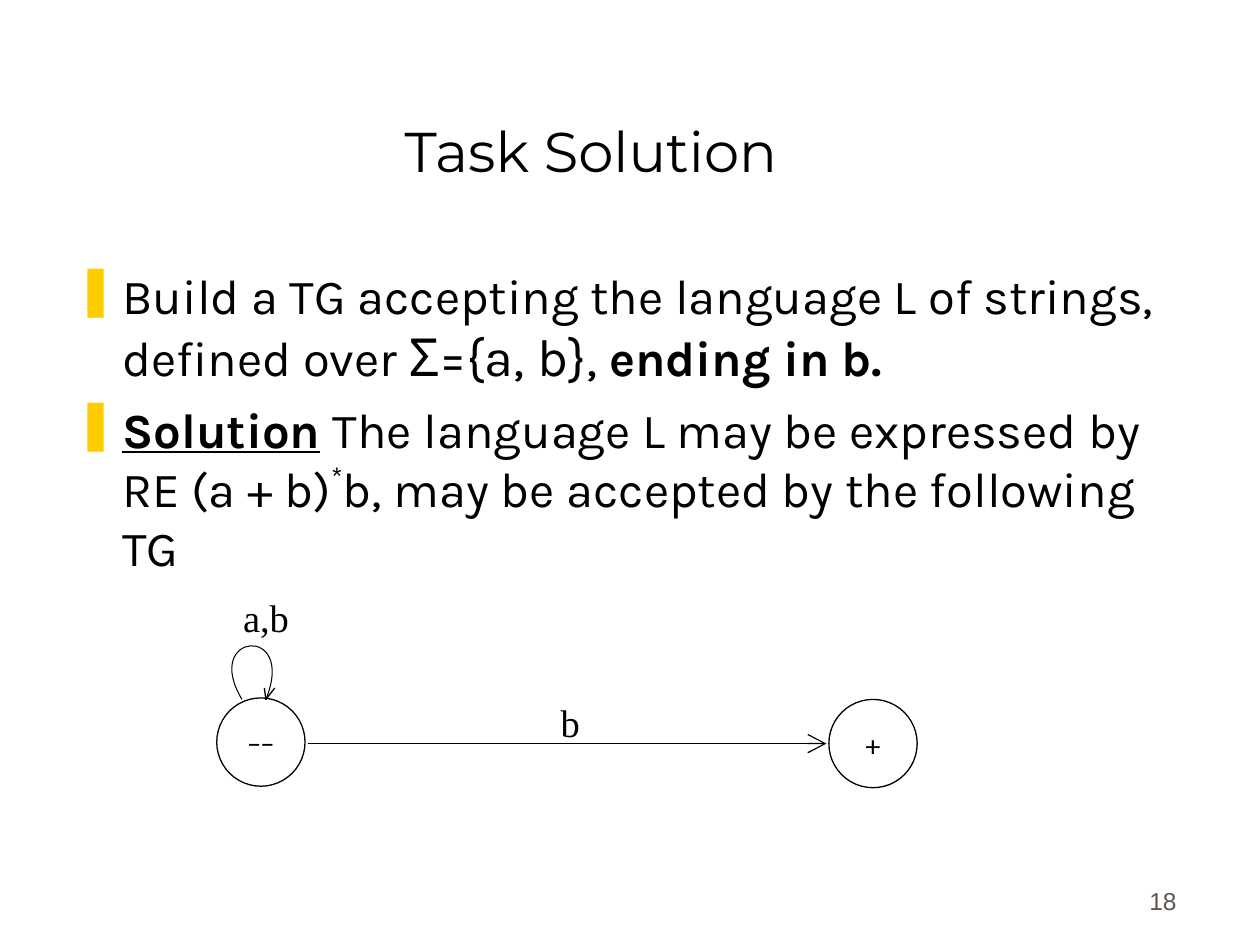
import lxml.etree
import pptx
import pptx.util
import pptx.dml.color
import pptx.enum.shapes
import pptx.enum.text
import pptx.oxml.ns

Cm, Pt = pptx.util.Cm, pptx.util.Pt
RGB = pptx.dml.color.RGBColor
Align = pptx.enum.text.PP_ALIGN
Anchor = pptx.enum.text.MSO_ANCHOR
Kind = pptx.enum.shapes.MSO_SHAPE
qn = pptx.oxml.ns.qn

BLACK = RGB(0, 0, 0)
WHITE = RGB(255, 255, 255)
GREY = RGB(0x5E, 0x57, 0x4E)
GOLD = RGB(0xFF, 0xCC, 0x00)

# Content; lengths in centimetres
# Labels: text, box, font, size, colour, alignment, anchor
LABELS = [
    ("Task Solution", (1.12, 0.64, 21.59, 3.18), "Montserrat", 32, BLACK,
     Align.CENTER, Anchor.BOTTOM),
    ("18", (18.69, 17.3, 5.28, 1.27), "Arial", 14, GREY,
     Align.RIGHT, Anchor.BOTTOM),
    ("a,b", (4.65, 11.86, 3.48, 1.3), "Times New Roman", 22, BLACK,
     Align.LEFT, Anchor.TOP),
    ("b", (11.05, 13.97, 3.48, 1.3), "Times New Roman", 22, BLACK,
     Align.LEFT, Anchor.TOP),
]
# Bullets: runs of text, size, style
BODY = (1.27, 5.23, 22.71, 11.58)
BULLETS = [
    [("Build a TG accepting the language L of strings, defined over ", 28, ""),
     ("Σ={a, b},", 30, ""),
     (" ", 28, ""),
     ("ending in b.", 28, "bold")],
    [("Solution", 28, "bold underline"),
     (" ", 28, "bold"),
     ("The language L may be expressed by RE (a + b)", 28, ""),
     ("*", 28, "raised"),
     ("b, may be accepted by the following TG", 28, "")],
]
INDENT = 0.95
SIZE = 1.78
STATES = [("––", 4.37, 14.07), ("+", 16.71, 14.1)]
EDGE = (6.2, 16.66, 14.99)  # from x, to x, y
LOOP = [(4.88, 14.1), (4.06, 12.75), (5.99, 12.57), (5.36, 14.1)]
HEAD = [(5.33, 13.87), (5.36, 14.1), (5.54, 13.87)]

deck = pptx.Presentation()
deck.slide_width, deck.slide_height = Cm(25.4), Cm(19.05)
slide = deck.slides.add_slide(deck.slide_layouts[6])
shapes = slide.shapes


def add_tag(parent, tag, **attrs):
    return lxml.etree.SubElement(parent, qn(tag), attrs)


def style(font, name, size, color=BLACK):
    font.name, font.size = name, Pt(size)
    font.color.rgb = color


def add_box(box):
    frame = shapes.add_textbox(*map(Cm, box)).text_frame
    frame.word_wrap = True
    return frame


def ink(line, width=0.75):
    line.color.rgb, line.width = BLACK, Pt(width)


def add_open(points, width=0.75):
    """Draw an unfilled open line through the points."""
    dots = [(Cm(x), Cm(y)) for x, y in points]
    pen = shapes.build_freeform(*dots[0])
    pen.add_line_segments(dots[1:], close=False)
    shape = pen.convert_to_shape()
    shape.shadow.inherit = False
    shape.fill.background()
    ink(shape.line, width)
    return shape


# Title, page number and edge labels
for text, box, name, size, color, align, anchor in LABELS:
    frame = add_box(box)
    frame.vertical_anchor = anchor
    frame.text = text
    para = frame.paragraphs[0]
    para.alignment = align
    style(para.runs[0].font, name, size, color)

# Bulleted text
frame = add_box(BODY)
for i, parts in enumerate(BULLETS):
    para = frame.add_paragraph() if i else frame.paragraphs[0]
    para.space_before = Pt(7)
    props = para._p.get_or_add_pPr()
    props.set("marL", str(Cm(INDENT)))
    props.set("indent", str(-Cm(INDENT)))
    add_tag(add_tag(props, "a:buClr"), "a:srgbClr", val=str(GOLD))
    add_tag(props, "a:buChar", char="❚")
    for text, size, look in parts:
        run = para.add_run()
        run.text = text
        style(run.font, "Karla", size)
        run.font.bold = "bold" in look
        run.font.underline = "underline" in look
        if "raised" in look:
            run._r.get_or_add_rPr().set("baseline", "40000")

# States
for text, left, top in STATES:
    state = shapes.add_shape(Kind.OVAL, Cm(left), Cm(top), Cm(SIZE), Cm(SIZE))
    state.shadow.inherit = False
    state.fill.solid()
    state.fill.fore_color.rgb = WHITE
    ink(state.line)
    frame = state.text_frame
    frame.text = text
    frame.vertical_anchor = Anchor.MIDDLE
    para = frame.paragraphs[0]
    para.alignment = Align.CENTER
    style(para.runs[0].font, "Karla", 16)

# Edge between the states
start, end, level = map(Cm, EDGE)
edge = shapes.add_connector(pptx.enum.shapes.MSO_CONNECTOR.STRAIGHT,
                            start, level, end, level)
ink(edge.line)
props = edge._element.spPr
add_tag(props.find(qn("a:ln")), "a:tailEnd", type="arrow", w="lg", len="lg")
add_tag(props, "a:effectLst")

# Loop on the start state: its three segments become one curve
loop = add_open(LOOP, 0.6)
steps = list(loop._element.iter(qn("a:lnTo")))
curve = add_tag(steps[0].getparent(), "a:cubicBezTo")
for step in steps:
    curve.append(step[0])
    step.getparent().remove(step)
add_open(HEAD)

deck.save("out.pptx")
